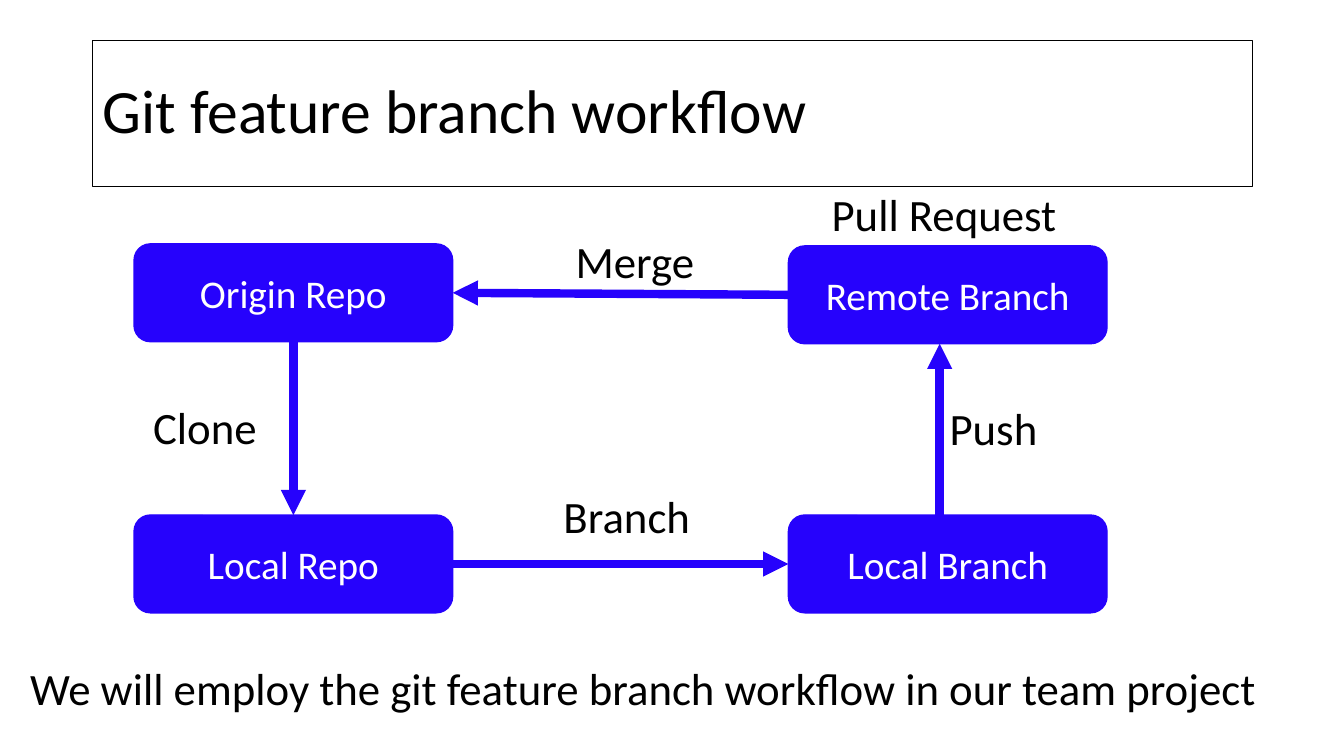
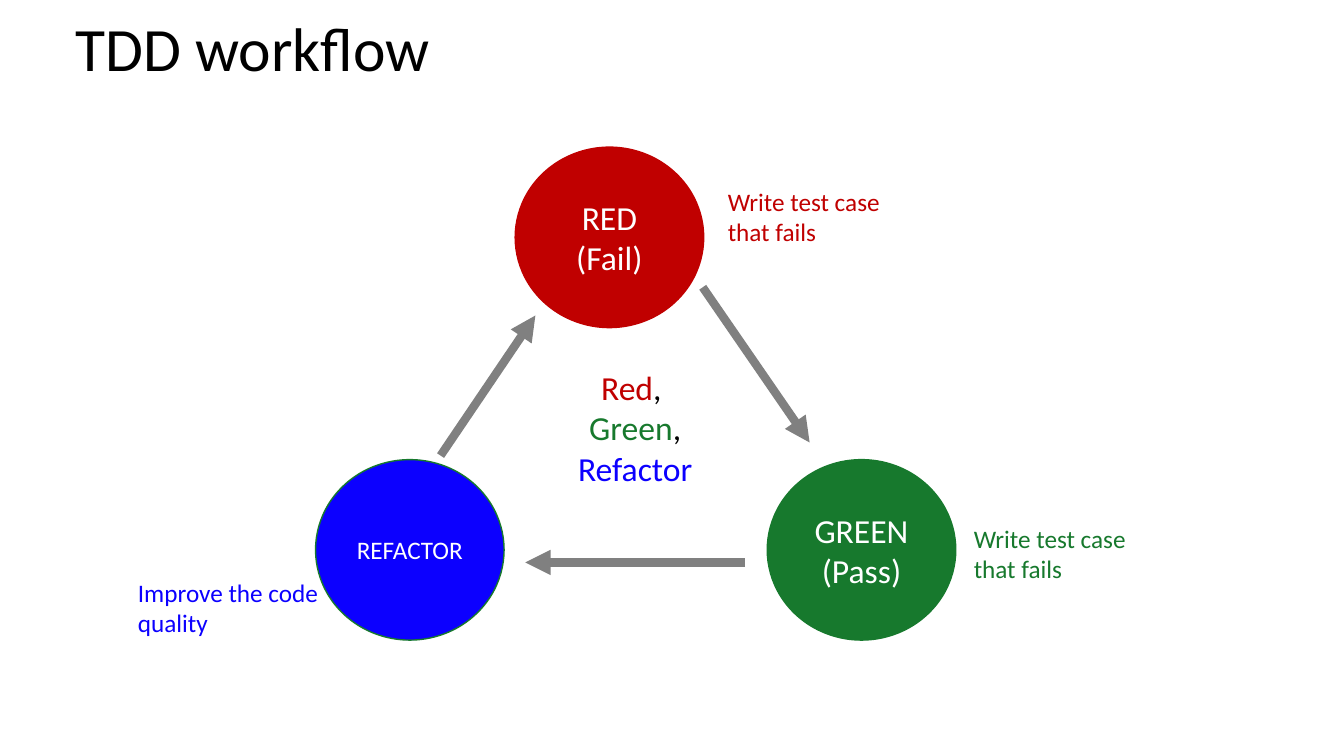
"""Build two slides on the git feature branch workflow and the TDD cycle."""
from lxml import etree
from pptx import Presentation
from pptx.dml.color import RGBColor
from pptx.enum.shapes import MSO_CONNECTOR, MSO_SHAPE
from pptx.enum.text import MSO_ANCHOR, PP_ALIGN
from pptx.oxml.ns import qn
from pptx.util import Inches, Pt

STRAIGHT = MSO_CONNECTOR.STRAIGHT
RECTANGLE, ROUNDED, OVAL = MSO_SHAPE.RECTANGLE, MSO_SHAPE.ROUNDED_RECTANGLE, MSO_SHAPE.OVAL
TOP, MIDDLE = MSO_ANCHOR.TOP, MSO_ANCHOR.MIDDLE
LEFT, CENTER = PP_ALIGN.LEFT, PP_ALIGN.CENTER

BLACK = RGBColor(0x00, 0x00, 0x00)
WHITE = RGBColor(0xFF, 0xFF, 0xFF)
INDIGO = RGBColor(0x26, 0x02, 0xFC)
GRAY = RGBColor(0x80, 0x80, 0x80)
RED = RGBColor(0xC0, 0x00, 0x00)
GREEN = RGBColor(0x17, 0x79, 0x2D)
BLUE = RGBColor(0x0C, 0x00, 0xFF)

TITLE = {"size": 44, "anchor": MIDDLE, "spacing": 0.9}


def add_block(slide, box, lines, size, color=BLACK, align=LEFT, anchor=TOP, spacing=None,
              outline=None, fill=None, edge=None, edge_width=1):
    """Place text, plain or inside a shape; a line is a string or a list of (text, color) runs."""
    bounds = [Inches(value) for value in box]
    if outline is None:
        block = slide.shapes.add_textbox(*bounds)
    else:
        block = slide.shapes.add_shape(outline, *bounds)
        block.shadow.inherit = False
        if fill is None:
            block.fill.background()
        else:
            block.fill.solid()
            block.fill.fore_color.rgb = fill
        block.line.color.rgb = edge
        block.line.width = Pt(edge_width)
    frame = block.text_frame
    frame.word_wrap = True
    frame.vertical_anchor = anchor
    for index, line in enumerate(lines):
        paragraph = frame.add_paragraph() if index else frame.paragraphs[0]
        for name, value in {"alignment": align, "line_spacing": spacing}.items():
            setattr(paragraph, name, value)
        for text, run_color in [(line, color)] if isinstance(line, str) else line:
            run = paragraph.add_run()
            run.text = text
            for name, value in {"name": "Calibri", "size": Pt(size)}.items():
                setattr(run.font, name, value)
            run.font.color.rgb = run_color


def add_arrow(slide, start, end, color):
    """Draw a thick arrow pointing at its end."""
    arrow = slide.shapes.add_connector(STRAIGHT, *[Inches(value) for value in start + end])
    arrow.line.color.rgb = color
    arrow.line.width = Pt(6)
    etree.SubElement(arrow.line._get_or_add_ln(), qn("a:tailEnd"), type="triangle")
    etree.SubElement(arrow._element.spPr, qn("a:effectLst"))


deck = Presentation()
deck.slide_width, deck.slide_height = Inches(13.33), Inches(7.5)
blank = deck.slide_layouts[6]

git_slide = deck.slides.add_slide(blank)
add_block(git_slide, (0.92, 0.4, 11.5, 1.45), ["Git feature branch workflow"],
          outline=RECTANGLE, edge=BLACK, edge_width=0.75, **TITLE)

STAGE_W, STAGE_H = 3.16, 0.97
LEFT_X, RIGHT_X = 1.33, 7.82
REPO_Y, REMOTE_Y, LOCAL_Y = 2.42, 2.44, 5.11
stages = [
    ("Origin Repo", LEFT_X, REPO_Y),
    ("Local Repo", LEFT_X, LOCAL_Y),
    ("Local Branch", RIGHT_X, LOCAL_Y),
    ("Remote Branch", RIGHT_X, REMOTE_Y),
]
for stage, x, y in stages:
    add_block(git_slide, (x, y, STAGE_W, STAGE_H), [stage], 28, WHITE, CENTER, MIDDLE,
              outline=ROUNDED, fill=INDIGO, edge=INDIGO)

clone_x, push_x = LEFT_X + STAGE_W / 2, 9.32
left_edge = LEFT_X + STAGE_W
branch_y = LOCAL_Y + STAGE_H / 2
git_steps = [
    ((clone_x, REPO_Y + STAGE_H), (clone_x, LOCAL_Y)),
    ((left_edge, branch_y), (RIGHT_X, branch_y)),
    ((push_x, LOCAL_Y), (push_x, REMOTE_Y + STAGE_H)),
    ((RIGHT_X, REMOTE_Y + STAGE_H / 2), (left_edge, REPO_Y + STAGE_H / 2)),
]
for start, end in git_steps:
    add_arrow(git_slide, start, end, INDIGO)

git_labels = [
    ("Pull Request", 8.15, 1.8, 2.83),
    ("Merge", 5.61, 2.27, 1.78),
    ("Push", push_x, 3.93, 1.5),
    ("Branch", 5.49, 4.8, 1.5),
    ("Clone", 1.42, 3.92, 1.5),
    ("We will employ the git feature branch workflow in our team project", 0.2, 6.51, 12.67),
]
for label, x, y, width in git_labels:
    add_block(git_slide, (x, y, width, 0.64), [label], 32)

tdd_slide = deck.slides.add_slide(blank)
add_block(tdd_slide, (0.65, 0, 11.5, 1.03), ["TDD workflow"], **TITLE)

motto = [
    [("Red", RED), (", ", BLACK)],
    [("Green", GREEN), (",", BLACK)],
    [("Refactor", BLUE)],
]
add_block(tdd_slide, (5.52, 3.59, 1.56, 1.31), motto, 24, align=CENTER)

phases = [
    (["RED", "(Fail)"], 24, RED, RED, (5.11, 1.46), "Write test case that fails", (7.12, 1.8)),
    (["GREEN", "(Pass)"], 24, GREEN, GREEN, (7.61, 4.56), "Write test case that fails", (9.56, 5.14)),
    (["REFACTOR"], 18, BLUE, GREEN, (3.13, 4.56), "Improve the code quality", (1.27, 5.68)),
]
for phase, size, color, edge, circle_at, task, task_at in phases:
    add_block(tdd_slide, circle_at + (1.87, 1.79), phase, size, WHITE, CENTER, MIDDLE,
              outline=OVAL, fill=color, edge=edge)
    add_block(tdd_slide, task_at + (2.03, 0.71), [task], 18, color)

tdd_steps = [
    ((6.97, 2.85), (8.03, 4.39)),
    ((7.39, 5.58), (5.21, 5.58)),
    ((4.37, 4.52), (5.31, 3.13)),
]
for start, end in tdd_steps:
    add_arrow(tdd_slide, start, end, GRAY)

deck.save("out.pptx")
